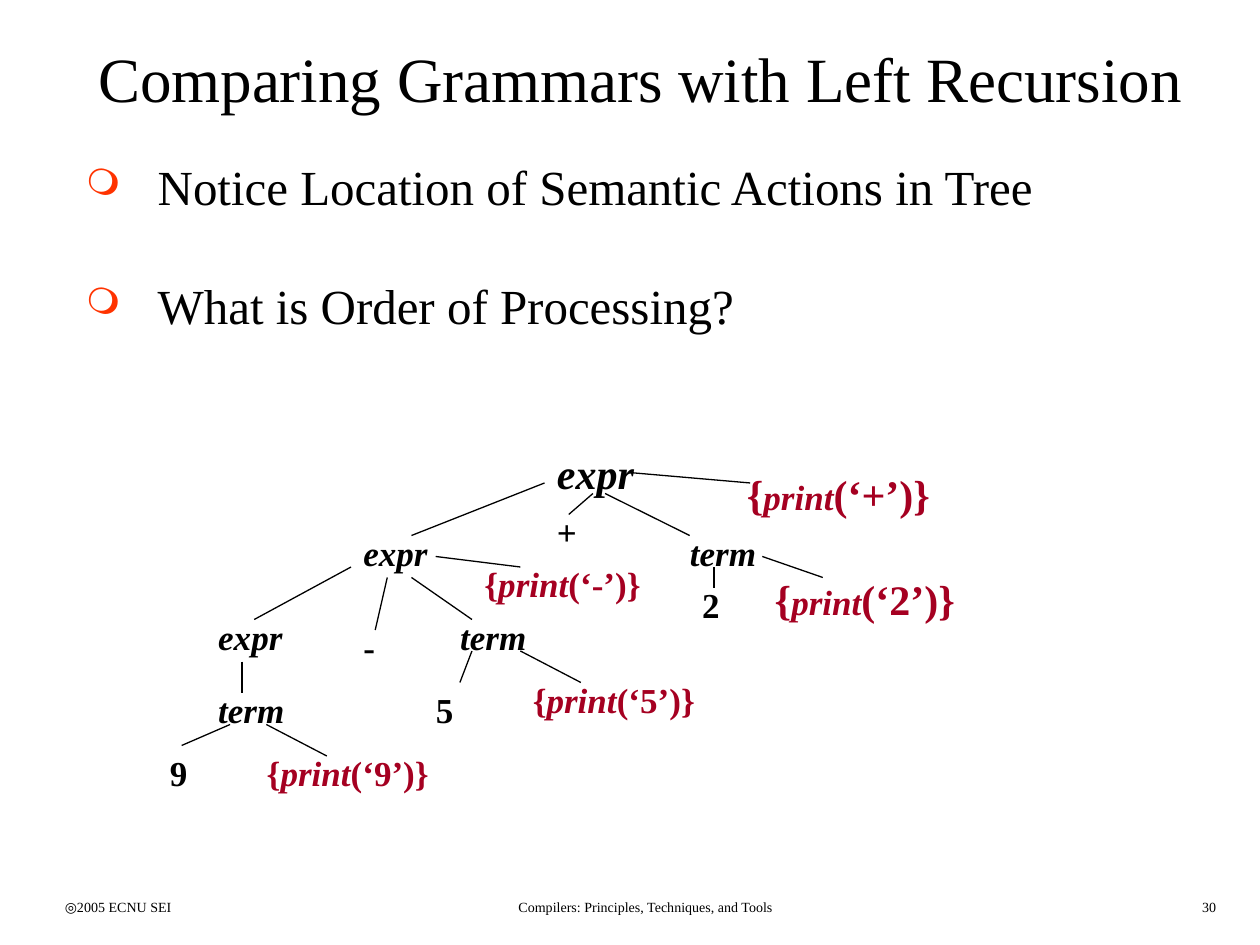
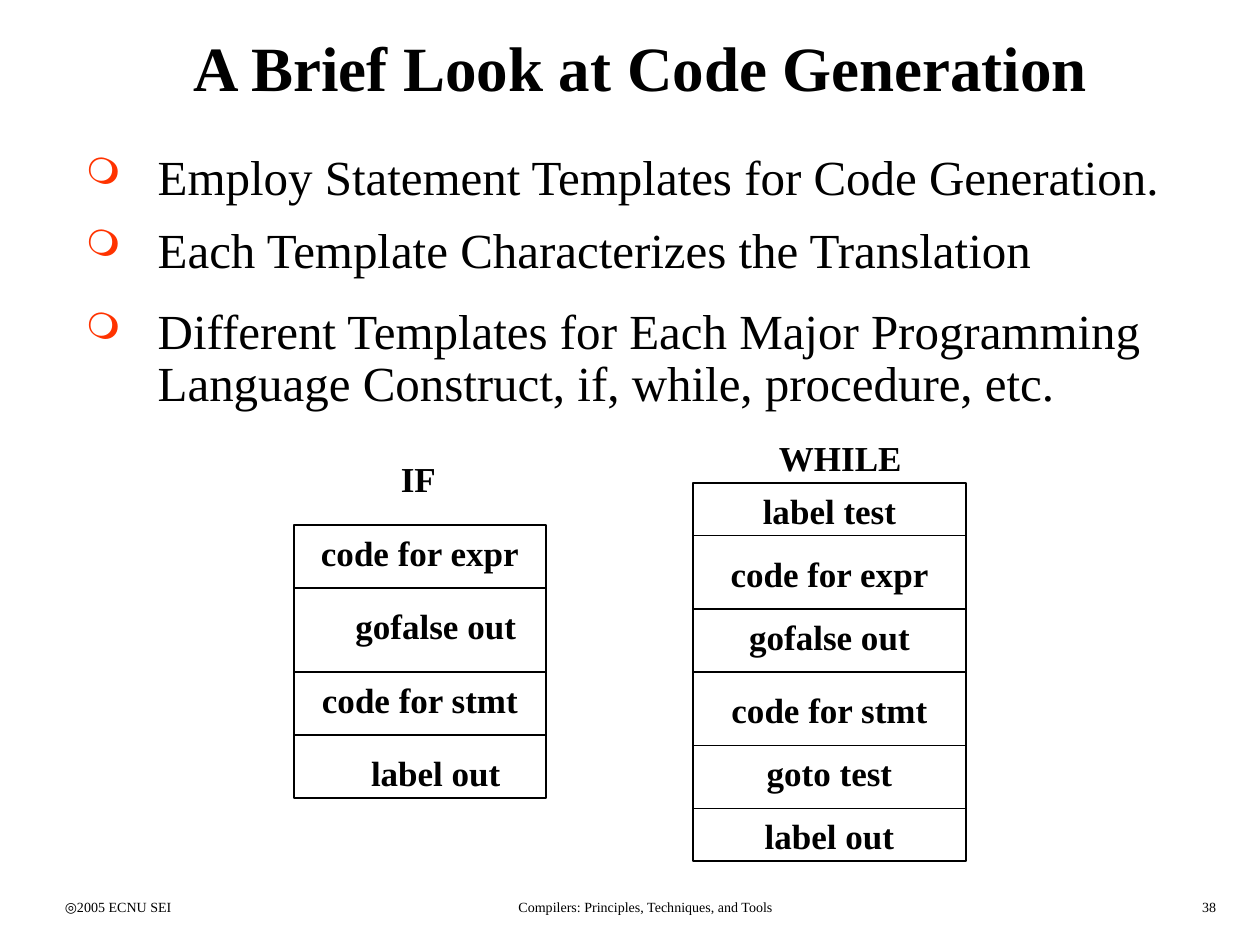
"""Build two compiler lecture slides: a parse tree and code templates."""
from typing import NamedTuple

from lxml.etree import SubElement
from pptx import Presentation
from pptx.dml.color import RGBColor
from pptx.enum.shapes import MSO_CONNECTOR, MSO_SHAPE
from pptx.enum.text import MSO_ANCHOR, PP_ALIGN
from pptx.oxml.ns import qn
from pptx.util import Inches, Pt

FONT = "Times New Roman"
BLACK, ACTION_RED, BULLET_RED = "000000", "A50021", "FF3300"
LEFT, CENTER, RIGHT = PP_ALIGN.LEFT, PP_ALIGN.CENTER, PP_ALIGN.RIGHT


class Grid(NamedTuple):
    """Columns and rows, in inches, measured from a left edge."""
    left: float
    col: float
    row: float

    def point(self, col: float, row: float) -> tuple:
        """Return the position of a grid crossing."""
        return Inches(self.left + col * self.col), Inches(row * self.row)

    def size(self, cols: float, rows: float) -> tuple:
        """Return the size of a block of cells."""
        return Inches(cols * self.col), Inches(rows * self.row)


PAGE = Grid(0, 1 / 12, 1 / 12)
TREE = Grid(1.25, 0.096, 1 / 12)


class Style(NamedTuple):
    """The look of a run of text."""
    size: float
    bold: bool = False
    italic: bool = False
    color: str = BLACK


class Box(NamedTuple):
    """A block of grid cells."""
    col: float
    row: float
    cols: float
    rows: float


class Bullet(NamedTuple):
    """A bulleted line with its line spacing and the gap above it."""
    text: str
    spacing: float = 0.89
    before: float = 0


class Node(NamedTuple):
    """A symbol of the parse tree."""
    text: str
    col: float
    row: float
    size: float = 20


class Edge(NamedTuple):
    """A line between two grid crossings."""
    col1: float
    row1: float
    col2: float
    row2: float


class Template(NamedTuple):
    """A statement template: a frame cut into labelled rows."""
    name: str
    name_box: Box
    frame: Box
    dividers: tuple
    labels: tuple


FOOTERS = ((Box(5, 85, 25, 3), LEFT, "◎2005 ECNU SEI"),
           (Box(39, 85, 45, 3), CENTER, "Compilers: Principles, Techniques, and Tools"))
PAGE_NUMBER = Box(92, 85, 25, 3)
BODY = Style(28)
CODE = Style(20, bold=True)

SYMBOLS = (Node("expr", 4, 58), Node("expr", 16, 50), Node("expr", 32, 42, 24),
           Node("term", 24, 58), Node("term", 4, 65), Node("term", 43, 50))
TOKENS = (Node("5", 22, 65), Node("+", 32, 48), Node("2", 44, 55),
          Node("-", 16, 59), Node("9", 0, 71))
ACTIONS = (Node("2", 50, 54, 24), Node("+", 47.7, 44, 24), Node("5", 30, 64),
           Node("-", 26, 53), Node("9", 8, 71))
EDGES = (Edge(26, 62, 25, 65), Edge(21, 55, 26, 59), Edge(19, 55, 18, 60),
         Edge(6, 69, 2, 71), Edge(16, 54, 8, 59), Edge(7, 63, 7, 66),
         Edge(32, 46, 21, 51), Edge(37, 47, 44, 51), Edge(46, 54, 46, 56),
         Edge(36, 47, 34, 49), Edge(50, 53, 55, 55), Edge(39, 45, 49, 46),
         Edge(30, 62, 35, 65), Edge(23, 53, 30, 54), Edge(9, 69, 14, 72))

TEMPLATES = (
    Template("IF", Box(37, 43, 7, 5.3), Box(28, 50, 24, 26), (56, 64, 70),
             (("code for expr", 50, 0), ("gofalse out", 57, 3),
              ("code for stmt", 64, 0), ("label out", 71, 3))),
    Template("WHILE", Box(73, 41, 16, 5.3), Box(66, 46, 26, 36), (51, 58, 64, 71, 77),
             (("label test", 46, 0), ("code for expr", 52, 0), ("gofalse out", 58, 0),
              ("code for stmt", 65, 0), ("goto test", 71, 0), ("label out", 77, 0))),
)


def rgb(color: str) -> RGBColor:
    """Turn a hex string into a colour."""
    return RGBColor.from_string(color)


def format_run(r, style: Style) -> None:
    """Apply a style to a run."""
    r.font.name, r.font.size = FONT, Pt(style.size)
    r.font.bold, r.font.italic = style.bold, style.italic
    r.font.color.rgb = rgb(style.color)


def add_frame(s, box: Box, grid: Grid = PAGE):
    """Add an empty wrapping text box and return its text frame."""
    tf = s.shapes.add_textbox(*grid.point(box.col, box.row),
                              *grid.size(box.cols, box.rows)).text_frame
    tf.word_wrap = True
    return tf


def add_text(s, box: Box, text: str, style: Style, align=LEFT, grid: Grid = PAGE):
    """Add one line of text and return its text frame."""
    tf = add_frame(s, box, grid)
    tf.text = text
    tf.paragraphs[0].alignment = align
    format_run(tf.paragraphs[0].runs[0], style)
    return tf


def add_line(s, edge: Edge, grid: Grid = PAGE) -> None:
    """Draw a thin black line."""
    sp = s.shapes.add_connector(MSO_CONNECTOR.STRAIGHT, *grid.point(edge.col1, edge.row1),
                                *grid.point(edge.col2, edge.row2))
    sp.line.color.rgb, sp.line.width = rgb(BLACK), Pt(0.75)
    SubElement(sp.element.spPr, qn("a:effectLst"))


def add_bullets(s, box: Box, bullets: tuple) -> None:
    """Fill a box with ring-bulleted lines."""
    tf = add_frame(s, box)
    tf.text = "\n".join(b.text for b in bullets)
    for p, bullet in zip(tf.paragraphs, bullets):
        pPr = p._p.get_or_add_pPr()
        pPr.set("marL", str(Inches(0.57)))
        pPr.set("indent", str(-Inches(0.57)))
        SubElement(SubElement(pPr, qn("a:buClr")), qn("a:srgbClr"), val=BULLET_RED)
        SubElement(pPr, qn("a:buSzPct"), val="75000")
        SubElement(pPr, qn("a:buChar"), char="❍")
        p.line_spacing, p.space_before = bullet.spacing, Pt(bullet.before)
        format_run(p.runs[0], BODY)


def add_action(s, node: Node) -> None:
    """Add a semantic action with an italic print."""
    p = add_frame(s, Box(node.col, node.row, 29, 6), TREE).paragraphs[0]
    parts = (("{", node.size, False), ("print", 20, True), (f"(‘{node.text}’)}}", node.size, False))
    for text, size, italic in parts:
        r = p.add_run()
        r.text = text
        format_run(r, Style(size, True, italic, ACTION_RED))


def add_template(s, template: Template) -> None:
    """Draw a named statement template."""
    frame = template.frame
    sp = s.shapes.add_shape(MSO_SHAPE.RECTANGLE, *PAGE.point(frame.col, frame.row),
                            *PAGE.size(frame.cols, frame.rows))
    sp.shadow.inherit = False
    sp.fill.background()
    sp.line.color.rgb, sp.line.width = rgb(BLACK), Pt(0.75)
    add_text(s, template.name_box, template.name, CODE)
    for text, row, indent in template.labels:
        box = Box(frame.col + indent, row, frame.cols - indent, 5.3)
        add_text(s, box, text, CODE, CENTER)
    for row in template.dividers:
        add_line(s, Edge(frame.col, row, frame.col + frame.cols, row))


def add_slide(prs, title: str, rows: float, bold: bool, number: int):
    """Add a slide with its title and footers."""
    s = prs.slides.add_slide(prs.slide_layouts[6])
    tf = add_text(s, Box(7, 2, 108, rows), title, Style(36, bold), CENTER)
    tf.vertical_anchor = MSO_ANCHOR.MIDDLE
    tf.paragraphs[0].line_spacing = 0.8
    for box, align, text in (*FOOTERS, (PAGE_NUMBER, RIGHT, str(number))):
        add_text(s, box, text, Style(8), align)
    return s


def build_tree_slide(prs) -> None:
    """Build the parse tree slide."""
    s = add_slide(prs, "Comparing Grammars with Left Recursion", 12, False, 30)
    add_bullets(s, Box(7, 15, 101, 18), (
        Bullet("Notice Location of Semantic Actions in Tree"),
        Bullet("What is Order of Processing?", before=38)))
    for node in SYMBOLS:
        add_text(s, Box(node.col, node.row, 15, 6), node.text,
                 Style(node.size, True, True), grid=TREE)
    for node in TOKENS:
        add_text(s, Box(node.col, node.row, 6, 5.3), node.text, CODE, grid=TREE)
    for node in ACTIONS:
        add_action(s, node)
    for edge in EDGES:
        add_line(s, edge, TREE)


def build_template_slide(prs) -> None:
    """Build the code generation slide."""
    s = add_slide(prs, "A Brief Look at Code Generation", 10, True, 38)
    add_bullets(s, Box(7, 14, 108, 26), (
        Bullet("Employ Statement Templates for Code Generation."),
        Bullet("Each Template Characterizes the Translation", 0.69, 17.5),
        Bullet("Different Templates for Each Major Programming Language Construct, "
               "if, while, procedure, etc.", before=17.5)))
    for template in TEMPLATES:
        add_template(s, template)


def main() -> None:
    """Build and save the presentation."""
    prs = Presentation()
    prs.slide_width, prs.slide_height = PAGE.size(120, 90)
    build_tree_slide(prs)
    build_template_slide(prs)
    prs.save("out.pptx")


if __name__ == "__main__":
    main()
